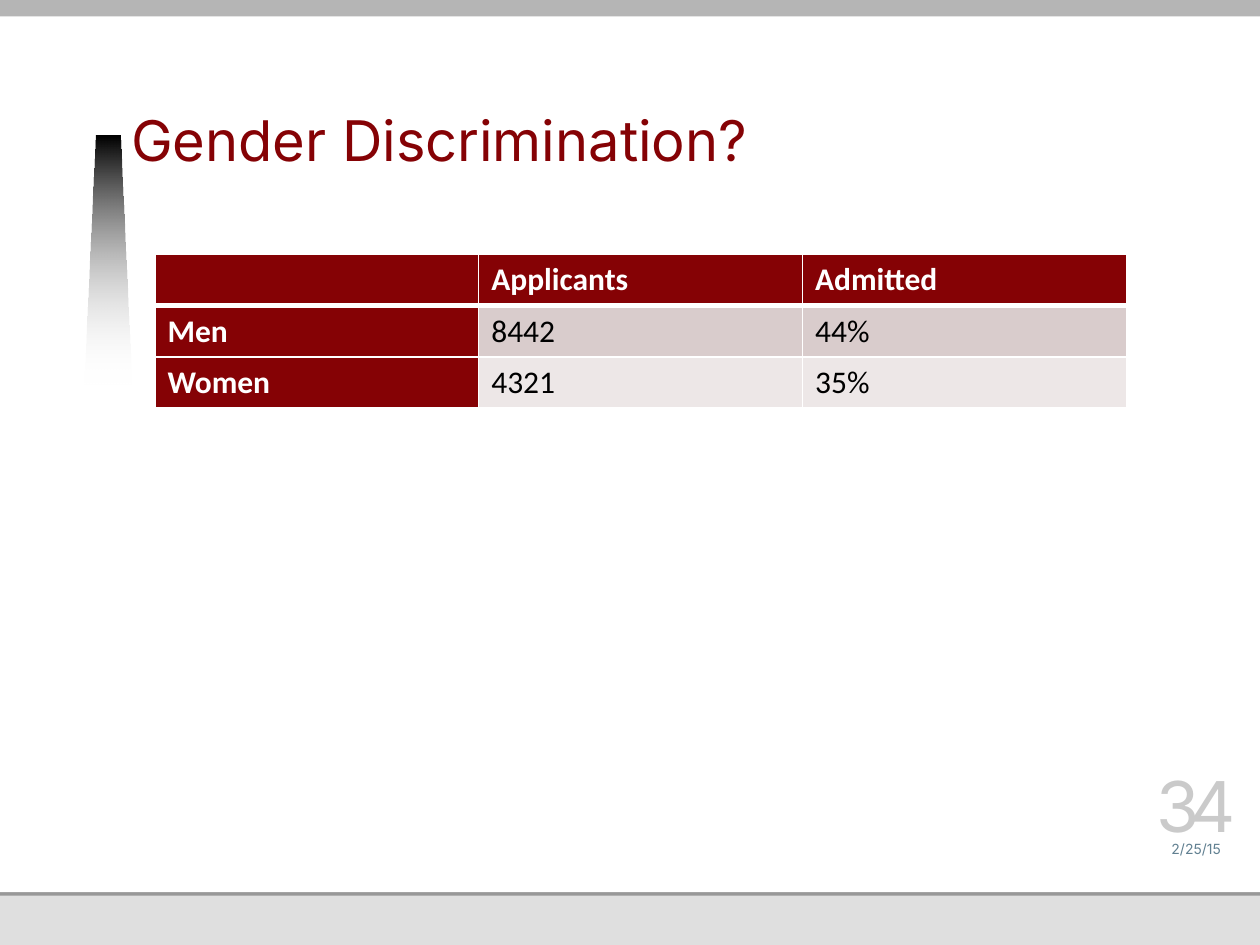
from lxml import etree
from pptx import Presentation
from pptx.dml.color import RGBColor
from pptx.enum.shapes import MSO_SHAPE
from pptx.enum.text import MSO_ANCHOR, PP_ALIGN
from pptx.oxml.ns import qn
from pptx.util import Inches, Pt

RECT = MSO_SHAPE.RECTANGLE
BOTTOM = MSO_ANCHOR.BOTTOM
LEFT, CENTER = PP_ALIGN.LEFT, PP_ALIGN.CENTER
RED, WHITE, BLACK, GREY = "850205", "FFFFFF", "000000", "989898"
BANDS = ["D9CCCC", "EDE7E7"]
ROWS = [
    ["", "Applicants", "Admitted"],
    ["Men", "8442", "44%"],
    ["Women", "4321", "35%"],
]


def color(code):
    """Turn a hex string into a colour."""
    return RGBColor.from_string(code)


def add_run(para, text, size, font, code, bold=False):
    """Add one styled run to a paragraph."""
    run = para.add_run()
    run.text = text
    run.font.size = Pt(size)
    run.font.name = font
    run.font.bold = bold
    run.font.color.rgb = color(code)
    return run


def add_bar(slide, x, y, w, h, code):
    """Draw a plain bar without an outline."""
    bar = slide.shapes.add_shape(RECT, Inches(x), Inches(y), Inches(w), Inches(h))
    bar.shadow.inherit = False
    bar.fill.solid()
    bar.fill.fore_color.rgb = color(code)
    bar.line.fill.background()


def add_frame(slide, x, y, w, h):
    """Layer the page and its top and bottom bars in the box."""
    add_bar(slide, x, y, w, h, "DFDFDF")
    add_bar(slide, x, y + 1.78, w, h - 2.17, GREY)
    add_bar(slide, x, y, w, h - 0.42, WHITE)
    add_bar(slide, x, y, w, 0.13, "B5B5B5")


def add_beam(slide, x, y, w, h):
    """Draw the fading beam, narrow at the top of the box."""
    inset = 0.09
    pen = slide.shapes.build_freeform(Inches(x), Inches(y + h))
    corners = [(x + inset, y), (x + w - inset, y), (x + w, y + h)]
    pen.add_line_segments([(Inches(a), Inches(b)) for a, b in corners], close=True)
    beam = pen.convert_to_shape()
    beam.shadow.inherit = False
    beam.line.fill.background()
    beam.fill.gradient()
    beam.fill.gradient_angle = 270
    for stop, code in zip(beam.fill.gradient_stops, [BLACK, WHITE]):
        stop.color.rgb = color(code)
    tint = list(beam._element.spPr.iter(qn("a:srgbClr")))[-1]
    etree.SubElement(tint, qn("a:alpha"), val="0")


def add_label(slide, x, y, w, h, text, size, code, align=CENTER, pad=0):
    """Write one line at the bottom of the box and return its run."""
    box = slide.shapes.add_textbox(Inches(x), Inches(y), Inches(w), Inches(h))
    frame = box.text_frame
    frame.word_wrap = True
    frame.vertical_anchor = BOTTOM
    frame.margin_left = frame.margin_right = frame.margin_top = 0
    frame.margin_bottom = Inches(pad)
    para = frame.paragraphs[0]
    para.alignment = align
    return add_run(para, text, size, "Inter", code)


def add_title(slide, x, y, w, h):
    """Write the slide title."""
    add_label(slide, x, y, w, h, "Gender Discrimination?", 32, RED, LEFT, 0.05)
    slide.shapes[-1].text_frame.paragraphs[0].line_spacing = Pt(34)


def add_footer(slide, x, y, w, h):
    """Write the date and the page number in the box."""
    add_label(slide, x, y + h - 0.22, w, 0.22, "2/25/15", 8, "618091")
    page = add_label(slide, x, y, w, 0.56, "34", 40, "CACACA")
    page.font._element.set("spc", "-500")


def set_edge(cell, side, width):
    """Give one side of a cell a white border."""
    props = cell._tc.get_or_add_tcPr()
    edge = etree.SubElement(props, qn(f"a:ln{side}"), w=str(Pt(width)))
    fill = etree.SubElement(edge, qn("a:solidFill"))
    etree.SubElement(fill, qn("a:srgbClr"), val=WHITE)


def add_grid(slide, x, y, w, h):
    """Fill the box with the table of applicants."""
    shape = slide.shapes.add_table(
        len(ROWS), len(ROWS[0]), Inches(x), Inches(y), Inches(w), Inches(h)
    )
    table = shape.table
    for i, row in enumerate(ROWS):
        for j, text in enumerate(row):
            cell = table.cell(i, j)
            head = i == 0 or j == 0
            for side in "LRTB":
                thick = (i, side) in [(0, "B"), (1, "T")]
                set_edge(cell, side, 3 if thick else 1)
            cell.fill.solid()
            cell.fill.fore_color.rgb = color(RED if head else BANDS[i - 1])
            if text:
                para = cell.text_frame.paragraphs[0]
                add_run(para, text, 18, "Calibri", WHITE if head else BLACK, head)


def main():
    """Build and save the slide."""
    deck = Presentation()
    deck.slide_width, deck.slide_height = Inches(10), Inches(7.5)
    slide = deck.slides.add_slide(deck.slide_layouts[6])
    add_frame(slide, 0, 0, 10, 7.5)
    add_beam(slide, 0.67, 1.08, 0.37, 1.97)
    add_title(slide, 1.04, 0.34, 6.87, 1.08)
    add_grid(slide, 1.23, 2.02, 7.71, 1.22)
    add_footer(slide, 9.13, 6.16, 0.73, 0.64)
    deck.save("out.pptx")


if __name__ == "__main__":
    main()
